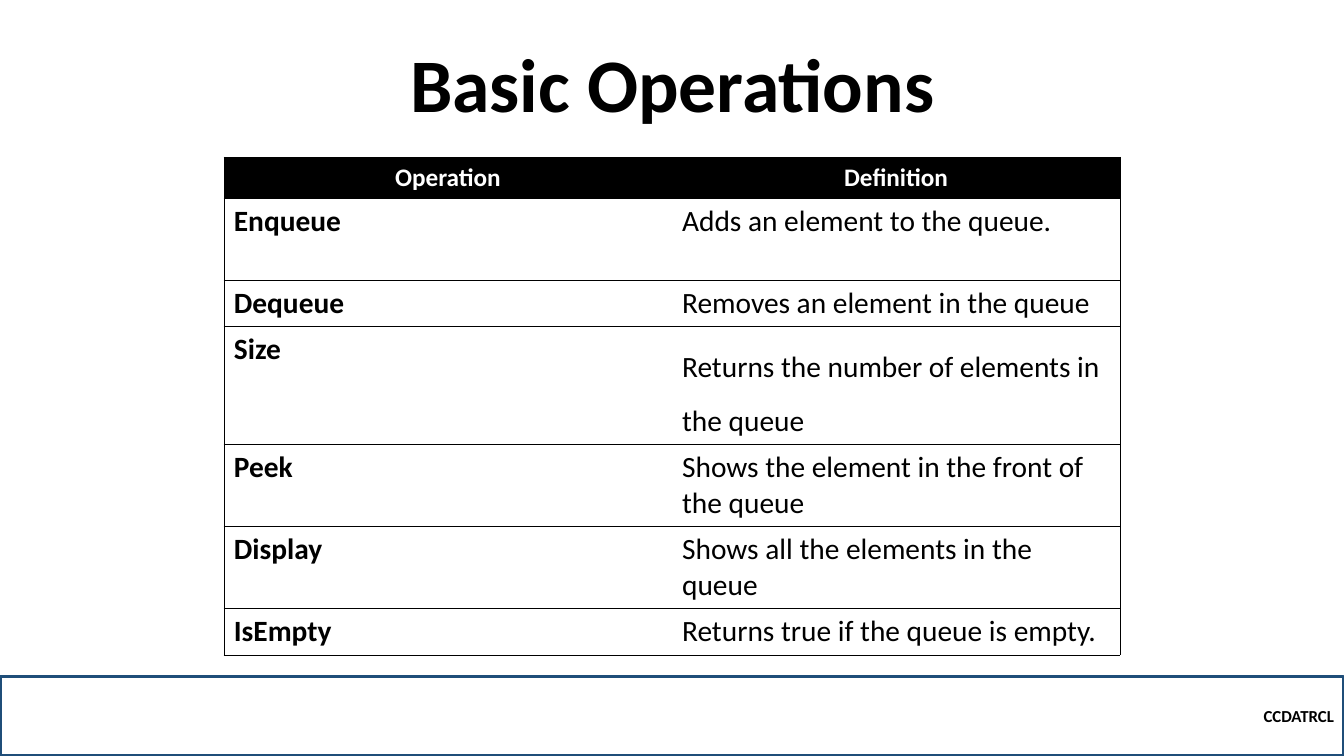
import pptx
import pptx.dml.color
import pptx.enum.text
import pptx.oxml
import pptx.oxml.ns
import pptx.util
from dataclasses import dataclass
from pptx.util import Inches

ALIGN = pptx.enum.text.PP_ALIGN
ANCHOR = pptx.enum.text.MSO_ANCHOR


@dataclass(frozen=True)
class Theme:
    font: str = "Calibri"
    black: str = "000000"
    white: str = "FFFFFF"
    footer_line: str = "1F4E79"
    title_size: int = 54
    header_size: int = 18
    body_size: int = 21
    footer_size: int = 12
    border_width: float = 0.5
    footer_width: float = 2.25


THEME = Theme()
HEADERS = ("Operation", "Definition")
# name, definition, row height in inches, line spacing
OPERATIONS = [
    ("Enqueue", "Adds an element to the queue.", 0.81, 1.0),
    ("Dequeue", "Removes an element in the queue", 0.46, 1.0),
    ("Size", "Returns the number of elements in the queue", 1.17, 1.5),
    ("Peek", "Shows the element in the front of the queue", 0.81, 1.0),
    ("Display", "Shows all the elements in the queue", 0.81, 1.0),
    ("IsEmpty", "Returns true if the queue is empty.", 0.46, 1.0),
]


def rgb(value):
    return pptx.dml.color.RGBColor.from_string(value)


def write(tf, text, size, color=THEME.black, bold=True, align=ALIGN.LEFT, spacing=1.0):
    p = tf.paragraphs[0]
    p.alignment = align
    p.line_spacing = spacing
    r = p.add_run()
    r.text = text
    font_format = {"name": THEME.font, "size": pptx.util.Pt(size), "bold": bold}
    for name, value in font_format.items():
        setattr(r.font, name, value)
    r.font.color.rgb = rgb(color)


def set_borders(cell, sides):
    """Draw the sides named in sides (of L, R, T, B) and hide the others."""
    tc_pr = cell._tc.get_or_add_tcPr()
    width = int(pptx.util.Pt(THEME.border_width))
    for i, side in enumerate("LRTB"):
        fill = "<a:noFill/>"
        if side in sides:
            fill = f'<a:solidFill><a:srgbClr val="{THEME.black}"/></a:solidFill>'
        tc_pr.insert(i, pptx.oxml.parse_xml(
            f'<a:ln{side} {pptx.oxml.ns.nsdecls("a")} w="{width}">{fill}</a:ln{side}>'))


def add_title(s, text):
    sp = s.shapes.title
    box = {"left": Inches(1.67), "top": Inches(0.54),
           "width": Inches(10), "height": Inches(0.79)}
    for name, value in box.items():
        setattr(sp, name, value)
    tf = sp.text_frame
    tf.vertical_anchor = ANCHOR.BOTTOM
    tf.auto_size = pptx.enum.text.MSO_AUTO_SIZE.NONE
    write(tf, text, THEME.title_size, align=ALIGN.CENTER, spacing=0.9)


def add_footer(s, text):
    sp = s.shapes.add_shape(pptx.enum.shapes.MSO_SHAPE.RECTANGLE,
                            0, Inches(6.71), Inches(13.33), Inches(0.79))
    sp.shadow.inherit = False
    sp.fill.background()
    sp.line.color.rgb = rgb(THEME.footer_line)
    sp.line.width = pptx.util.Pt(THEME.footer_width)
    sp.text_frame.vertical_anchor = ANCHOR.MIDDLE
    write(sp.text_frame, text, THEME.footer_size, align=ALIGN.RIGHT)


def add_operations_table(s):
    heights = [0.41] + [height for _, _, height, _ in OPERATIONS]
    table = s.shapes.add_table(len(heights), len(HEADERS), Inches(2.22), Inches(1.56),
                               Inches(8.89), Inches(sum(heights))).table
    table.horz_banding = False
    for row, height in zip(table.rows, heights):
        row.height = Inches(height)

    for col, text in enumerate(HEADERS):
        write(table.cell(0, col).text_frame, text, THEME.header_size,
              THEME.white, align=ALIGN.CENTER)
    for row, (name, definition, _, spacing) in enumerate(OPERATIONS, 1):
        write(table.cell(row, 0).text_frame, name, THEME.body_size)
        write(table.cell(row, 1).text_frame, definition, THEME.body_size,
              bold=False, spacing=spacing)

    for row in range(len(heights)):
        for col, outer_side in enumerate("LR"):
            cell = table.cell(row, col)
            cell.fill.solid()
            cell.fill.fore_color.rgb = rgb(THEME.white if row else THEME.black)
            set_borders(cell, outer_side + "TB")


def main():
    prs = pptx.Presentation()
    prs.slide_width, prs.slide_height = Inches(13.33), Inches(7.5)
    s = prs.slides.add_slide(prs.slide_layouts[0])
    subtitle = s.placeholders[1].element
    subtitle.getparent().remove(subtitle)
    add_title(s, "Basic Operations")
    add_footer(s, "CCDATRCL")
    add_operations_table(s)
    prs.save("out.pptx")


if __name__ == "__main__":
    main()
